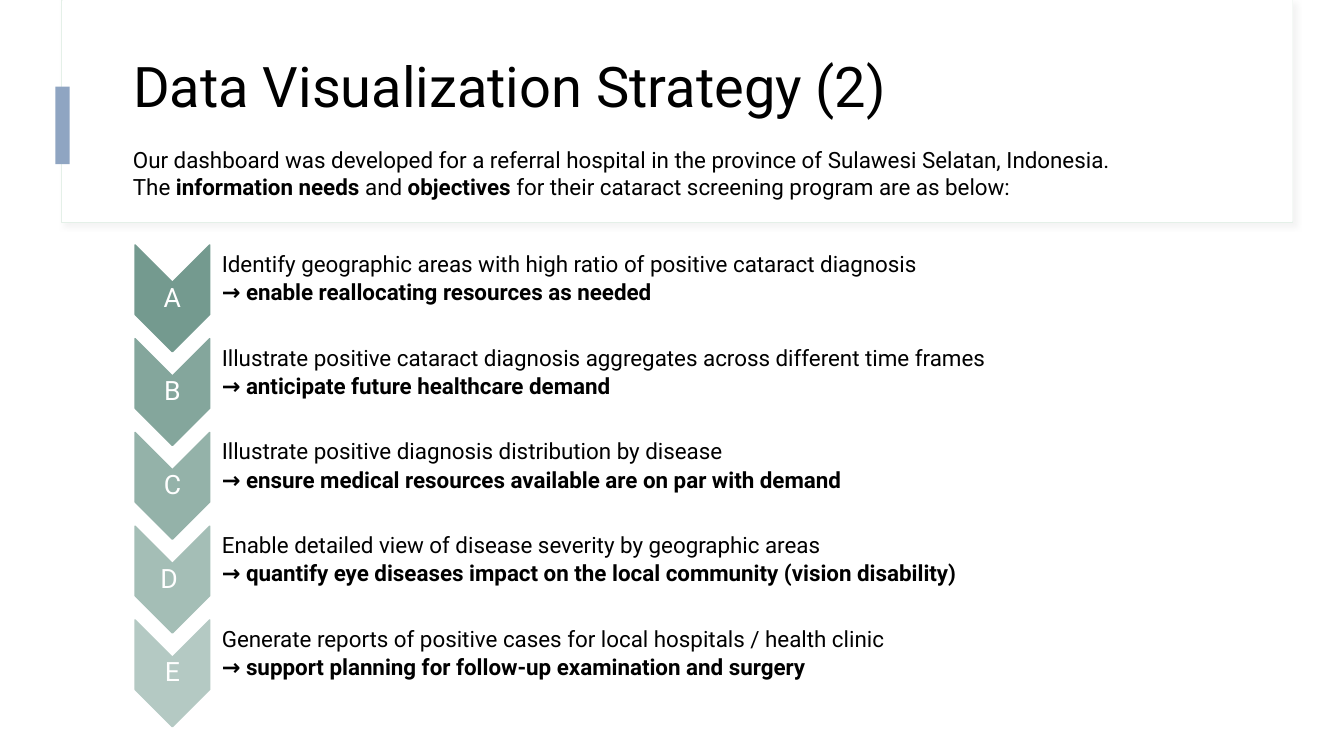
from dataclasses import dataclass

from lxml.etree import SubElement
from pptx import Presentation
from pptx.dml.color import RGBColor
from pptx.enum.shapes import MSO_SHAPE
from pptx.enum.text import MSO_ANCHOR, MSO_AUTO_SIZE, PP_ALIGN
from pptx.oxml.ns import qn
from pptx.shapes.autoshape import Shape
from pptx.slide import Slide
from pptx.text.text import TextFrame
from pptx.util import Pt

EMU_PER_PX = 9144  # 100 px to the inch
FONT = "Roboto"
BLACK = RGBColor(0x00, 0x00, 0x00)
WHITE = RGBColor(0xFF, 0xFF, 0xFF)
PANEL_EDGE = RGBColor(0xE4, 0xF0, 0xE8)
ACCENT = RGBColor(0x8F, 0xA5, 0xC2)
GREENS = (
    RGBColor(0x74, 0x9A, 0x8F),
    RGBColor(0x84, 0xA6, 0x9C),
    RGBColor(0x94, 0xB2, 0xA9),
    RGBColor(0xA4, 0xBE, 0xB6),
    RGBColor(0xB4, 0xC9, 0xC3),
)
STEP_PITCH = 93


@dataclass(frozen=True)
class Area:
    left: int
    top: int
    width: int
    height: int

    def lowered(self, distance: int) -> "Area":
        return Area(self.left, self.top + distance, self.width, self.height)

    def emu(self) -> tuple[int, ...]:
        return tuple(
            px * EMU_PER_PX for px in (self.left, self.top, self.width, self.height)
        )


@dataclass(frozen=True)
class Span:
    text: str
    bold: bool = False


@dataclass(frozen=True)
class Step:
    letter: str
    need: str
    objective: str


PANEL = Area(61, 0, 1221, 221)
PANEL_FACE = Area(62, 0, 1220, 220)
ACCENT_BAR = Area(55, 86, 14, 77)
TITLE = Area(122, 37, 1112, 103)
INTRO = Area(122, 140, 1142, 64)
CHEVRON = Area(118, 259, 106, 74)
LETTER = Area(134, 280, 74, 32)
DETAIL = Area(208, 246, 968, 62)

INTRO_LINES = [
    [Span("Our dashboard was developed for a referral hospital in the province of "
          "Sulawesi Selatan, Indonesia.")],
    [Span("The "), Span("information needs ", True), Span("and "),
     Span("objectives ", True),
     Span("for their cataract screening program are as below:")],
]
STEPS = (
    Step("A", "Identify geographic areas with high ratio of positive cataract diagnosis",
         "→ enable reallocating resources as needed"),
    Step("B", "Illustrate positive cataract diagnosis aggregates across different time frames",
         "→ anticipate future healthcare demand"),
    Step("C", "Illustrate positive diagnosis distribution by disease",
         "→ ensure medical resources available are on par with demand"),
    Step("D ", "Enable detailed view of disease severity by geographic areas",
         "→ quantify eye diseases impact on the local community (vision disability)"),
    Step("E", "Generate reports of positive cases for local hospitals / health clinic",
         "→ support planning for follow-up examination and surgery"),
)

TIGHT = {"margin_top": 9144, "margin_right": 9144, "margin_bottom": 9144,
         "vertical_anchor": MSO_ANCHOR.MIDDLE}
LETTER_FRAME = {**TIGHT, "margin_left": 9144}
DETAIL_FRAME = {**TIGHT, "margin_left": 12 * EMU_PER_PX}
LETTER_PARA = {"alignment": PP_ALIGN.CENTER, "line_spacing": 0.9}
DETAIL_PARA = {"line_spacing": 0.9, "space_after": Pt(2.8)}


def apply(target: object, values: dict) -> None:
    for name, value in values.items():
        setattr(target, name, value)


def write(frame: TextFrame, lines: list[list[Span]], size: int, color: RGBColor,
          para_format: dict) -> None:
    for index, line in enumerate(lines):
        para = frame.add_paragraph() if index else frame.paragraphs[0]
        apply(para, para_format)
        for span in line:
            run = para.add_run()
            run.text = span.text
            apply(run.font, {"name": FONT, "size": Pt(size), "bold": span.bold})
            run.font.color.rgb = color


def add_text(page: Slide, area: Area, lines: list[list[Span]], size: int,
             color: RGBColor, frame_format: dict, para_format: dict) -> None:
    frame = page.shapes.add_textbox(*area.emu()).text_frame
    apply(frame, {"word_wrap": True, **frame_format})
    write(frame, lines, size, color, para_format)


def add_block(page: Slide, kind: MSO_SHAPE, area: Area, fill: RGBColor,
              edge: RGBColor | None = None, edge_width: float = 1) -> Shape:
    block = page.shapes.add_shape(kind, *area.emu())
    block.shadow.inherit = False
    block.fill.solid()
    block.fill.fore_color.rgb = fill
    if edge is None:
        block.line.fill.background()
    else:
        block.line.color.rgb = edge
        block.line.width = Pt(edge_width)
    return block


def add_soft_shadow(block: Shape) -> None:
    effects = block._element.spPr.find(qn("a:effectLst"))
    shadow = SubElement(effects, qn("a:outerShdw"), blurRad=str(Pt(4)),
                        dist=str(Pt(3)), dir="2700000", rotWithShape="0")
    color = SubElement(shadow, qn("a:srgbClr"), val="D9D9D9")
    SubElement(color, qn("a:alpha"), val="30000")


def add_header(page: Slide) -> None:
    panel = add_block(page, MSO_SHAPE.RECTANGLE, PANEL, WHITE, PANEL_EDGE, 0.75)
    add_soft_shadow(panel)
    face = add_block(page, MSO_SHAPE.RECTANGLE, PANEL_FACE, WHITE)
    bar = add_block(page, MSO_SHAPE.RECTANGLE, ACCENT_BAR, ACCENT)

    title = page.shapes.title
    for block in (panel, face, bar):
        title._element.addprevious(block._element)
    apply(title, dict(zip(("left", "top", "width", "height"), TITLE.emu())))
    apply(title.text_frame, {"word_wrap": True, "auto_size": MSO_AUTO_SIZE.NONE,
                             "vertical_anchor": MSO_ANCHOR.MIDDLE})
    write(title.text_frame, [[Span("Data Visualization Strategy (2)")]], 40, BLACK,
          {"alignment": PP_ALIGN.LEFT, "line_spacing": 0.9})


def add_step(page: Slide, step: Step, color: RGBColor, drop: int) -> None:
    chevron = add_block(page, MSO_SHAPE.CHEVRON, CHEVRON.lowered(drop), color, color)
    chevron.rotation = 90
    add_text(page, LETTER.lowered(drop), [[Span(step.letter)]], 19, WHITE,
             LETTER_FRAME, LETTER_PARA)
    add_text(page, DETAIL.lowered(drop),
             [[Span(step.need)], [Span(step.objective, True)]], 16, BLACK,
             DETAIL_FRAME, DETAIL_PARA)


def main() -> None:
    deck = Presentation()
    deck.slide_width = 1333 * EMU_PER_PX
    deck.slide_height = 750 * EMU_PER_PX
    page = deck.slides.add_slide(deck.slide_layouts.get_by_name("Title Only"))
    add_header(page)
    for index, (step, color) in enumerate(zip(STEPS, GREENS)):
        add_step(page, step, color, index * STEP_PITCH)
    add_text(page, INTRO, INTRO_LINES, 16, BLACK,
             {"auto_size": MSO_AUTO_SIZE.SHAPE_TO_FIT_TEXT}, {})
    deck.save("out.pptx")


if __name__ == "__main__":
    main()
